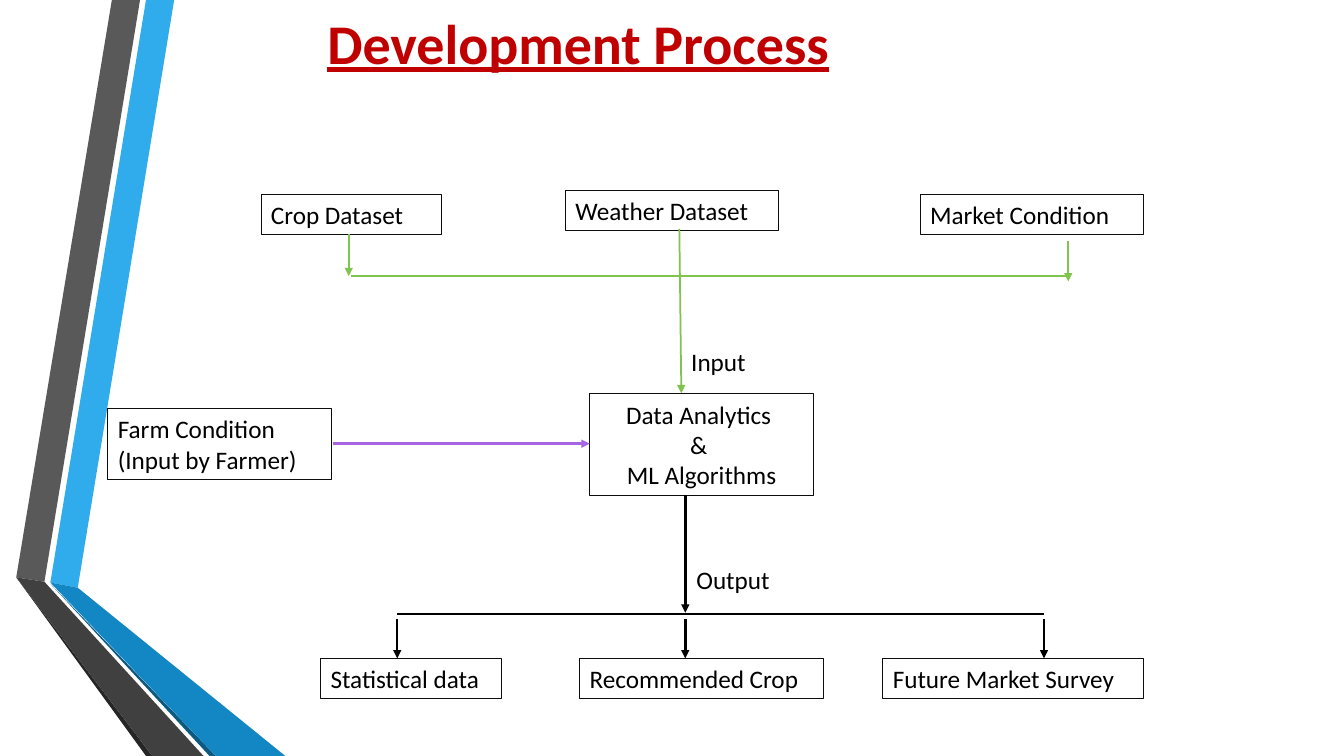
from lxml.etree import SubElement
from pptx import Presentation
from pptx.dml.color import RGBColor
from pptx.enum.shapes import MSO_CONNECTOR as Connector, MSO_SHAPE as Shape
from pptx.enum.text import MSO_ANCHOR as Anchor, PP_ALIGN as Align
from pptx.oxml.ns import qn
from pptx.util import Cm, Pt

BLACK, OUTLINE, GREEN, PURPLE, RED = "000000", "0D0D0D", "80C34F", "A666E1", "C00000"
BOX_HEIGHT = 1.02
PAGE_BOTTOM = 19.05

# Side ribbon, back to front: fill colour and corners in cm
RIBBON = [
    ("30ACEC", [(1.27, 14.68), (1.96, 14.81), (4.39, 0), (3.68, 0)]),
    ("595959", [(3.53, 0), (2.82, 0), (0.41, 14.55), (1.12, 14.66)]),
    ("262626", [(0.41, 14.55), (3.68, PAGE_BOTTOM), (3.84, PAGE_BOTTOM)]),
    ("0C5A82", [(1.27, 14.71), (5.28, PAGE_BOTTOM), (5.44, PAGE_BOTTOM)]),
    ("1287C3", [(1.27, 14.68), (5.44, PAGE_BOTTOM), (7.19, PAGE_BOTTOM), (1.96, 14.81)]),
    ("404040", [(5.13, PAGE_BOTTOM), (1.12, 14.66), (0.41, 14.55), (3.84, PAGE_BOTTOM)]),
]

# Single-line boxes: text, left, top, width
DATA_BOXES = [
    ("Crop Dataset", 6.58, 4.9, 4.55),
    ("Weather Dataset", 14.25, 4.8, 5.38),
    ("Market Condition", 23.19, 4.9, 5.64),
    ("Statistical data", 8.08, 16.59, 4.55),
    ("Recommended Crop", 14.61, 16.59, 6.15),
    ("Future Market Survey", 22.25, 16.59, 6.58),
]


def rgb(value):
    return RGBColor.from_string(value)


def write(shape, text, size=18, color=BLACK, bold=False, underline=False,
          align=Align.LEFT, anchor=Anchor.MIDDLE):
    """Fill a shape with text, one paragraph per line."""
    frame = shape.text_frame
    frame.word_wrap = True
    frame.vertical_anchor = anchor
    for index, line in enumerate(text.split("\n")):
        para = frame.add_paragraph() if index else frame.paragraphs[0]
        para.alignment = align
        span = para.add_run()
        span.text = line
        font = span.font
        font.name, font.size, font.bold, font.underline = "Calibri", Pt(size), bold, underline
        font.color.rgb = rgb(color)


def add_ribbon_piece(page, color, corners):
    points = [(Cm(x), Cm(y)) for x, y in corners]
    builder = page.shapes.build_freeform(*points[0])
    builder.add_line_segments(points[1:], close=True)
    piece = builder.convert_to_shape()
    piece.shadow.inherit = False
    piece.fill.solid()
    piece.fill.fore_color.rgb = rgb(color)
    piece.line.fill.background()


def add_box(page, text, left, top, width, height=BOX_HEIGHT, **style):
    box = page.shapes.add_shape(Shape.RECTANGLE, Cm(left), Cm(top), Cm(width), Cm(height))
    box.shadow.inherit = False
    box.fill.background()
    box.line.color.rgb = rgb(OUTLINE)
    box.line.width = Pt(0.75)
    write(box, text, **style)


def add_label(page, text, left, top, width, height, **style):
    label = page.shapes.add_textbox(Cm(left), Cm(top), Cm(width), Cm(height))
    write(label, text, **style)


def add_line(page, start, end, color=BLACK, width=1.75, arrow=True):
    ends = [Cm(value) for value in (*start, *end)]
    line = page.shapes.add_connector(Connector.STRAIGHT, *ends)
    line.line.color.rgb = rgb(color)
    line.line.width = Pt(width)
    if arrow:
        SubElement(line.line._get_or_add_ln(), qn("a:tailEnd"), type="triangle")
    SubElement(line._element.spPr, qn("a:effectLst"))


def add_input_lines(page):
    style = {"color": GREEN, "width": 1.25}
    add_line(page, (8.84, 6.96), (26.95, 6.96), arrow=False, **style)
    add_line(page, (17.12, 5.77), (17.17, 9.91), **style)
    add_line(page, (8.79, 5.89), (8.79, 6.96), **style)
    add_line(page, (26.92, 6.07), (26.92, 7.09), **style)


def add_output_lines(page):
    left, middle, right = 10.01, 17.27, 26.31
    add_line(page, (left, 15.47), (right, 15.47), arrow=False)
    add_line(page, (middle, 12.47), (middle, 15.44))
    for x in (left, middle, right):
        add_line(page, (x, 15.6), (x, 16.59))


def main():
    deck = Presentation()
    deck.slide_width, deck.slide_height = Cm(33.87), Cm(PAGE_BOTTOM)
    page = deck.slides.add_slide(deck.slide_layouts[6])

    for color, corners in RIBBON:
        add_ribbon_piece(page, color, corners)
    add_label(page, "Development Process", 0.5, 0, 28.14, 2.1, size=40, color=RED,
              bold=True, underline=True, align=Align.CENTER)

    for text, left, top, width in DATA_BOXES:
        add_box(page, text, left, top, width)
    add_box(page, "Farm Condition\n(Input by Farmer)", 2.72, 10.29, 5.64, 1.8)
    add_box(page, "Data Analytics \n& \nML Algorithms", 14.86, 9.91, 5.64, 2.57,
            align=Align.CENTER)

    add_line(page, (8.38, 11.18), (14.86, 11.18), color=PURPLE)
    add_output_lines(page)
    add_label(page, "Output", 17.3, 14.1, 3.45, 1.07, anchor=Anchor.TOP)
    add_label(page, "Input", 17.17, 8.59, 3.45, 1.07, anchor=Anchor.TOP)
    add_input_lines(page)

    deck.save("out.pptx")


if __name__ == "__main__":
    main()
